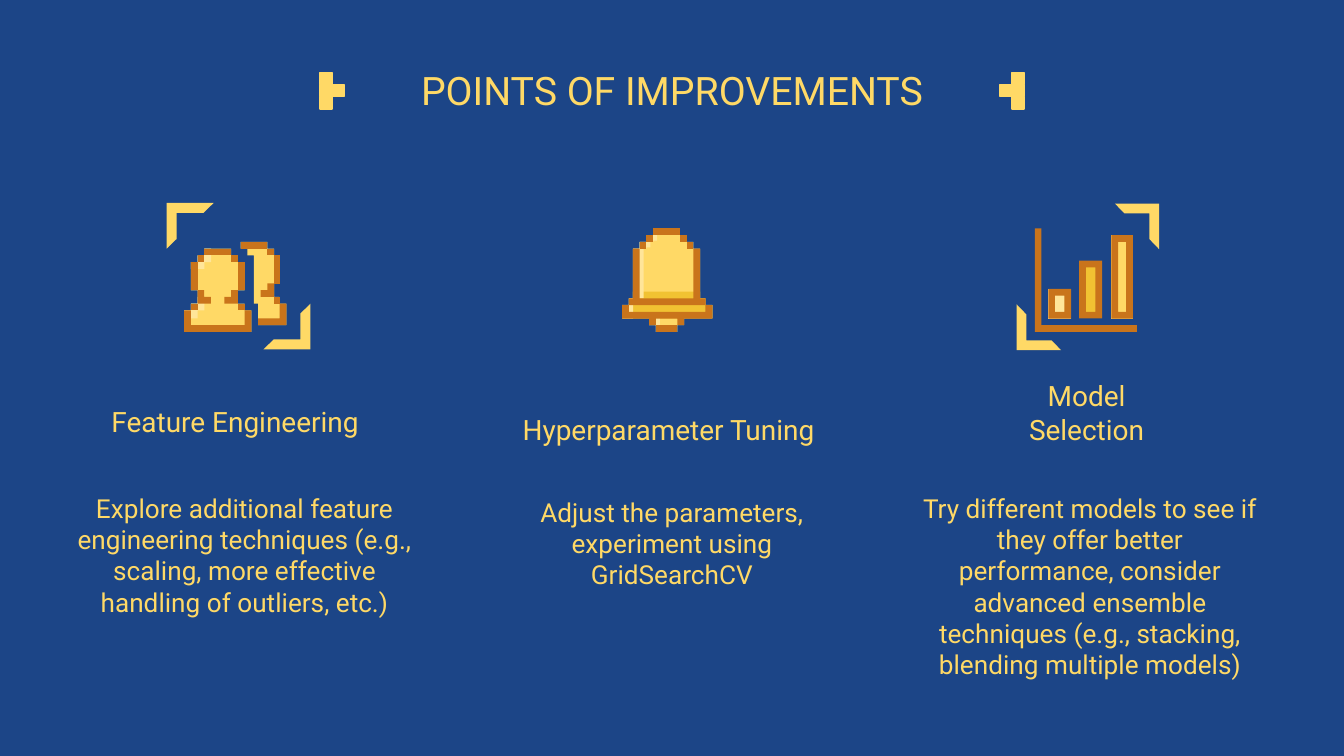
"""Build the 16:9 slide on points of improvement, on a grid 1000 columns wide."""
import pptx
import pptx.dml.color
import pptx.enum.shapes
import pptx.enum.text
import pptx.util

COLORS = {
    "navy": "1C4587",
    "yellow": "FFD966",
    "light": "FFE599",
    "gold": "F1C232",
    "brown": "C9741B",
}
RGB = {name: pptx.dml.color.RGBColor.from_string(value) for name, value in COLORS.items()}
CELL = pptx.util.Inches(0.01)

prs = pptx.Presentation()
prs.slide_width = 1000 * CELL
prs.slide_height = prs.slide_width * 9 // 16
s = prs.slides.add_slide(prs.slide_layouts[6])
s.background.fill.solid()
s.background.fill.fore_color.rgb = RGB["navy"]


def add_text(text, col, row, cols, rows, size=14, anchor="TOP"):
    """Add a centred, wrapped text box."""
    tf = s.shapes.add_textbox(col * CELL, row * CELL, cols * CELL, rows * CELL).text_frame
    tf.word_wrap = True
    tf.vertical_anchor = pptx.enum.text.MSO_ANCHOR[anchor]
    tf.margin_left = tf.margin_right = tf.margin_top = tf.margin_bottom = 10 * CELL
    p = tf.paragraphs[0]
    p.alignment = pptx.enum.text.PP_ALIGN.CENTER
    r = p.add_run()
    r.text = text
    r.font.name, r.font.size = "Roboto", pptx.util.Pt(size)
    r.font.color.rgb = RGB["yellow"]


def add_outline(shapes, color, *contours):
    """Fill contours given as x, y, x, y..., each value one turn of a right-angled line."""
    builder = None
    for contour in contours:
        turns = [*contour, contour[0]]
        points = [
            (a, b) if i % 2 == 0 else (b, a)
            for i, (a, b) in enumerate(zip(turns, turns[1:]))
        ]
        if builder is None:
            builder = shapes.build_freeform(*points[0], scale=CELL)
        else:
            builder.move_to(*points[0])
        builder.add_line_segments(points[1:], close=True)
    sp = builder.convert_to_shape()
    sp.shadow.inherit = False
    sp.fill.solid()
    sp.fill.fore_color.rgb = RGB[color]
    sp.line.fill.background()
    return sp


add_text("POINTS OF IMPROVEMENTS", 34, 31.5, 932, 63, size=21, anchor="BOTTOM")

SQUARE = 9
for edge, tip in [(238, 247), (753, 744)]:
    bracket = s.shapes.add_group_shape().shapes
    for x, y in [(edge, 54), (edge, 63), (edge, 72), (tip, 63)]:
        sp = add_outline(bracket, "yellow", (x, y, x + SQUARE, y + SQUARE))
        sp.line.color.rgb = RGB["yellow"]
        sp.line.width = pptx.util.Pt(0.75)

bell = [
    ("yellow", (486, 170, 506, 175, 511, 180, 516, 185, 521, 222, 525, 227, 530, 237, 509, 242,
                504, 247, 488, 242, 483, 237, 463, 227, 468, 222, 471, 185, 476, 180, 481, 175)),
    ("gold", (471, 217, 521, 222, 525, 227, 530, 237, 463, 227, 468, 222)),
    ("light", (486, 174, 489, 179, 486, 180, 484, 184, 481, 185, 479, 222,
               471, 185, 476, 180, 481, 175)),
    ("light", (468, 222, 471, 237, 463, 227)),
    ("light", (483, 235, 491, 247, 488, 242)),
    ("brown", (476, 180, 481, 185)),
    ("brown", (481, 175, 486, 180)),
    ("brown", (471, 185, 476, 222, 516, 185, 521, 222, 525, 227, 468, 222)),
    ("brown", (488, 242, 504, 247)),
    ("brown", (486, 170, 506, 175)),
    ("brown", (511, 180, 516, 185)),
    ("brown", (506, 175, 511, 180)),
    ("brown", (463, 227, 468, 232, 525, 227, 530, 237, 509, 242, 504, 237,
               488, 242, 483, 237)),
]
people = [
    ("yellow", (152, 185, 172, 190, 177, 195, 182, 216, 177, 226, 182, 231, 187, 247,
                137, 231, 142, 226, 147, 216, 142, 195, 147, 190)),
    ("light", (152, 185, 157, 195, 152, 200, 142, 195, 147, 190)),
    ("light", (147, 221, 152, 231, 147, 237, 137, 231, 142, 226)),
    ("yellow", (179, 180, 199, 185, 204, 190, 208, 211, 204, 221, 208, 226, 213, 242,
                192, 226, 189, 190, 184, 185)),
    ("brown", (142, 195, 147, 216)),
    ("brown", (177, 195, 182, 216)),
    ("brown", (152, 185, 172, 190)),
    ("brown", (147, 190, 152, 195)),
    ("brown", (172, 190, 177, 195)),
    ("brown", (172, 216, 177, 226, 167, 221)),
    ("brown", (142, 226, 147, 231)),
    ("brown", (177, 226, 182, 231)),
    ("brown", (137, 231, 142, 242, 182, 231, 187, 247)),
    ("brown", (147, 216, 152, 221, 157, 226)),
    ("brown", (204, 190, 208, 211)),
    ("brown", (179, 180, 199, 185)),
    ("brown", (199, 185, 204, 190)),
    ("brown", (199, 211, 204, 221, 194, 216)),
    ("brown", (204, 221, 208, 226)),
    ("brown", (208, 226, 213, 242, 192, 237)),
]
for icon in (bell, people):
    group = s.shapes.add_group_shape().shapes
    for color, contour in icon:
        add_outline(group, color, contour)

for col, row, cols, rows, rotation in [
    (124, 151, 35, 34, 0),
    (196, 226, 35, 34, 180),
    (829, 152, 34, 33, 90),
    (756, 227, 34, 33, 270),
]:
    corner = s.shapes.add_shape(
        pptx.enum.shapes.MSO_SHAPE.HALF_FRAME, col * CELL, row * CELL, cols * CELL, rows * CELL
    )
    corner.adjustments[0] = corner.adjustments[1] = 0.22
    corner.rotation = rotation
    corner.shadow.inherit = False
    corner.fill.solid()
    corner.fill.fore_color.rgb = RGB["yellow"]
    corner.line.fill.background()

bars = s.shapes.add_group_shape().shapes
add_outline(bars, "brown", (770, 170, 775, 242, 846, 247))
BASE, BORDER = 237, 5
for color, left, top, right in [
    ("light", 780, 215, 797),
    ("gold", 803, 194, 820),
    ("yellow", 827, 175, 843),
]:
    outer = (left, top, right, BASE)
    inner = (left + BORDER, top + BORDER, right - BORDER, BASE - BORDER)
    add_outline(bars, color, outer)
    add_outline(bars, "brown", inner, outer)

for heading, (col, row, cols), body, (body_col, body_row, body_cols) in [
    ("Feature Engineering", (47, 293, 256),
     "Explore additional feature engineering techniques (e.g., scaling, "
     "more effective handling of outliers, etc.)", (47, 356, 270)),
    ("Hyperparameter Tuning", (378, 299, 239),
     "Adjust the parameters, experiment using GridSearchCV", (363, 359, 274)),
    ("Model Selection", (731, 299, 155),
     "Try different models to see if they offer better performance, consider advanced "
     "ensemble techniques (e.g., stacking, blending multiple models)", (674, 356, 274)),
]:
    add_text(heading, col, row, cols, 43, size=15, anchor="BOTTOM")
    add_text(body, body_col, body_row, body_cols, 121)

prs.save("out.pptx")
